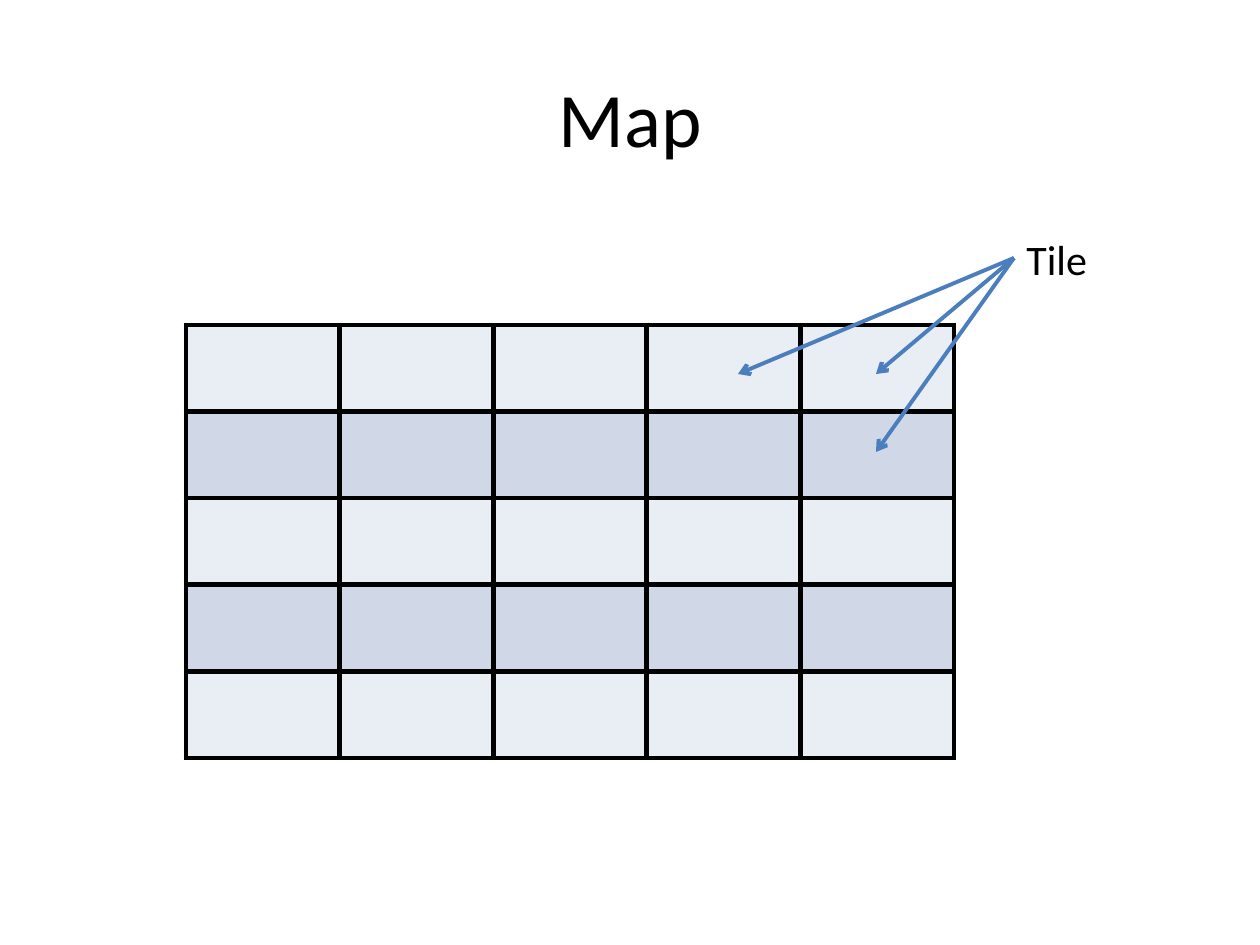
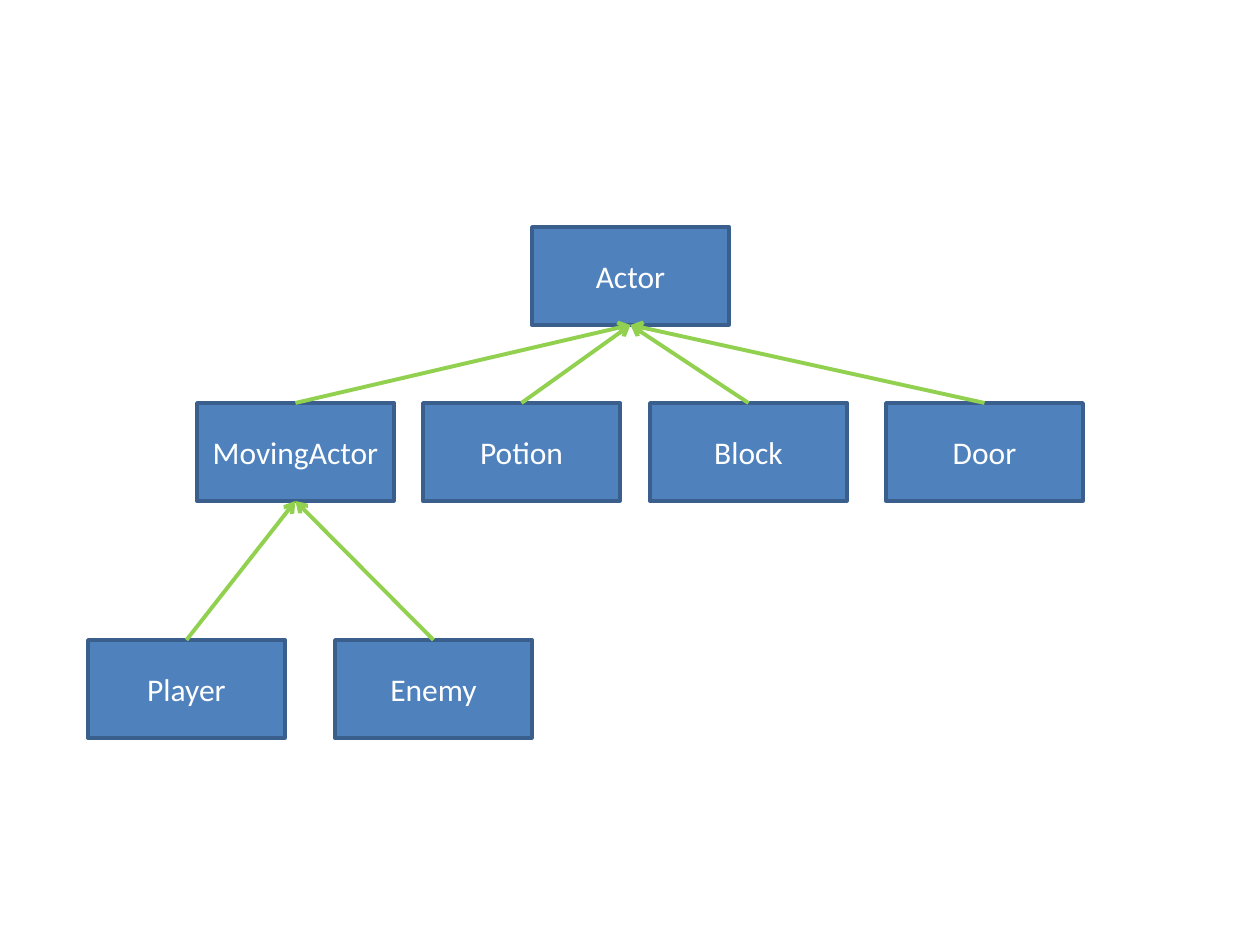
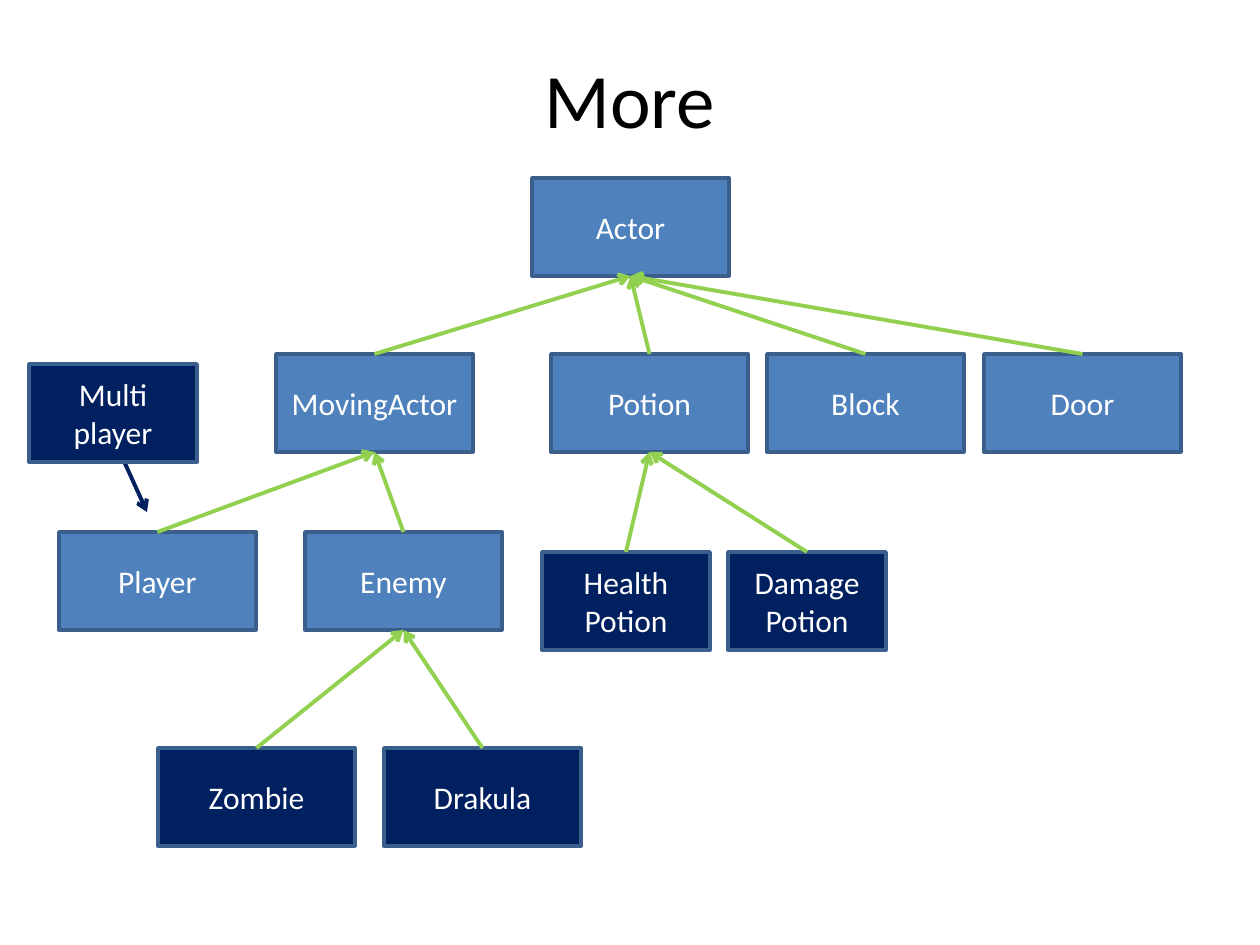
import pptx
import pptx.dml.color
import pptx.enum.shapes
import pptx.enum.text
import pptx.oxml
import pptx.oxml.ns
import pptx.util

PX = 914400 / 126
FONT = "Calibri"
BLACK, WHITE = "000000", "FFFFFF"
BLUE, NAVY, OUTLINE = "4F81BD", "002060", "3A5F8C"
GREEN, POINTER = "92D050", "4B7EBC"
BANDS = ("E9EDF4", "D0D8E8")
BOX_WIDTH, BOX_HEIGHT = 197, 98
TOP_SIDE, BOTTOM_SIDE = 0, 2
CENTER = pptx.enum.text.PP_ALIGN.CENTER
MIDDLE = pptx.enum.text.MSO_ANCHOR.MIDDLE


def px(*lengths):
    return [pptx.util.Emu(round(length * PX)) for length in lengths]


def color(value):
    return pptx.dml.color.RGBColor.from_string(value)


def add_child(parent, tag, **attributes):
    child = pptx.oxml.parse_xml(f'<{tag} {pptx.oxml.ns.nsdecls("a")}/>')
    for name, value in attributes.items():
        child.set(name, str(value))
    parent.append(child)
    return child


def write_text(shape, text, size=18, fill=WHITE, align=CENTER, anchor=MIDDLE, wrap=True):
    frame = shape.text_frame
    frame.word_wrap = wrap
    frame.vertical_anchor = anchor
    para = frame.paragraphs[0]
    para.alignment = align
    span = para.add_run()
    span.text = text
    span.font.name = FONT
    span.font.size = pptx.util.Pt(size)
    span.font.color.rgb = color(fill)


def add_title(page, text, height):
    box = page.shapes.add_textbox(*px(63, 38, 1134, height))
    write_text(box, text, size=44, fill=BLACK)


def add_box(page, text, left, top, width=BOX_WIDTH, fill=BLUE):
    box = page.shapes.add_shape(
        pptx.enum.shapes.MSO_SHAPE.RECTANGLE, *px(left, top, width, BOX_HEIGHT))
    box.shadow.inherit = False
    box.fill.solid()
    box.fill.fore_color.rgb = color(fill)
    box.line.color.rgb = color(OUTLINE)
    box.line.width = pptx.util.Pt(2)
    write_text(box, text)
    return box


def add_arrow(page, start, end, stroke):
    arrow = page.shapes.add_connector(
        pptx.enum.shapes.MSO_CONNECTOR.STRAIGHT, *px(*start, *end))
    arrow.line.color.rgb = color(stroke)
    arrow.line.width = pptx.util.Pt(2.25)
    add_child(arrow.line._get_or_add_ln(), "a:tailEnd", type="arrow")
    add_child(arrow._element.spPr, "a:effectLst")
    return arrow


def link_to_parent(page, child, parent):
    arrow = add_arrow(page, (0, 0), (0, 0), GREEN)
    arrow.begin_connect(child, TOP_SIDE)
    arrow.end_connect(parent, BOTTOM_SIDE)


def add_level(page, boxes, top, places, parent=None, fill=BLUE):
    for text, left, width in places:
        boxes[text] = add_box(page, text, left, top, width, fill)
        if parent:
            link_to_parent(page, boxes[text], boxes[parent])


def same_width(**lefts):
    return [(text, left, BOX_WIDTH) for text, left in lefts.items()]


def add_border(cell):
    properties = cell._tc.get_or_add_tcPr()
    for side in ("lnL", "lnR", "lnT", "lnB"):
        line = add_child(properties, f"a:{side}", w=pptx.util.Pt(3))
        add_child(add_child(line, "a:solidFill"), "a:srgbClr", val=BLACK)


def add_tile_grid(page, rows, columns):
    table = page.shapes.add_table(rows, columns, *px(186, 325, 768, 433)).table
    table.first_row = False
    for row in range(rows):
        for column in range(columns):
            cell = table.cell(row, column)
            add_border(cell)
            cell.fill.solid()
            cell.fill.fore_color.rgb = color(BANDS[row % 2])


def build_map(page):
    add_title(page, "Map", 158)
    add_tile_grid(page, 5, 5)
    label = page.shapes.add_textbox(*px(1014, 227, 87, 63))
    write_text(label, "Tile", size=24, fill=BLACK, wrap=False,
               align=pptx.enum.text.PP_ALIGN.LEFT, anchor=pptx.enum.text.MSO_ANCHOR.TOP)
    for tile in ((876, 374), (738, 374), (876, 452)):
        add_arrow(page, (1014, 258), tile, POINTER)


def build_actors(page):
    boxes = {}
    add_level(page, boxes, 227, same_width(Actor=532))
    add_level(page, boxes, 403,
              same_width(MovingActor=197, Potion=423, Block=650, Door=886), "Actor")
    add_level(page, boxes, 640, same_width(Player=88, Enemy=335), "MovingActor")


def build_more(page):
    boxes = {}
    add_title(page, "More", 120)
    add_level(page, boxes, 178, same_width(Actor=532))
    add_level(page, boxes, 354,
              same_width(MovingActor=276, Potion=551, Block=767, Door=984), "Actor")
    add_level(page, boxes, 532, same_width(Player=59, Enemy=305), "MovingActor")
    add_level(page, boxes, 552,
              [("Health Potion", 542, 168), ("Damage Potion", 728, 158)], "Potion", NAVY)
    add_level(page, boxes, 748, same_width(Zombie=158, Drakula=384), "Enemy", NAVY)
    add_arrow(page, (123, 459), (147, 512), NAVY)
    add_box(page, "Multi player", 29, 364, 168, NAVY)


def main():
    """Build the three slides about the game map and its actor classes."""
    deck = pptx.Presentation()
    deck.slide_width, deck.slide_height = px(1260, 945)
    for build in (build_map, build_actors, build_more):
        build(deck.slides.add_slide(deck.slide_layouts[6]))
    deck.save("out.pptx")


if __name__ == "__main__":
    main()
